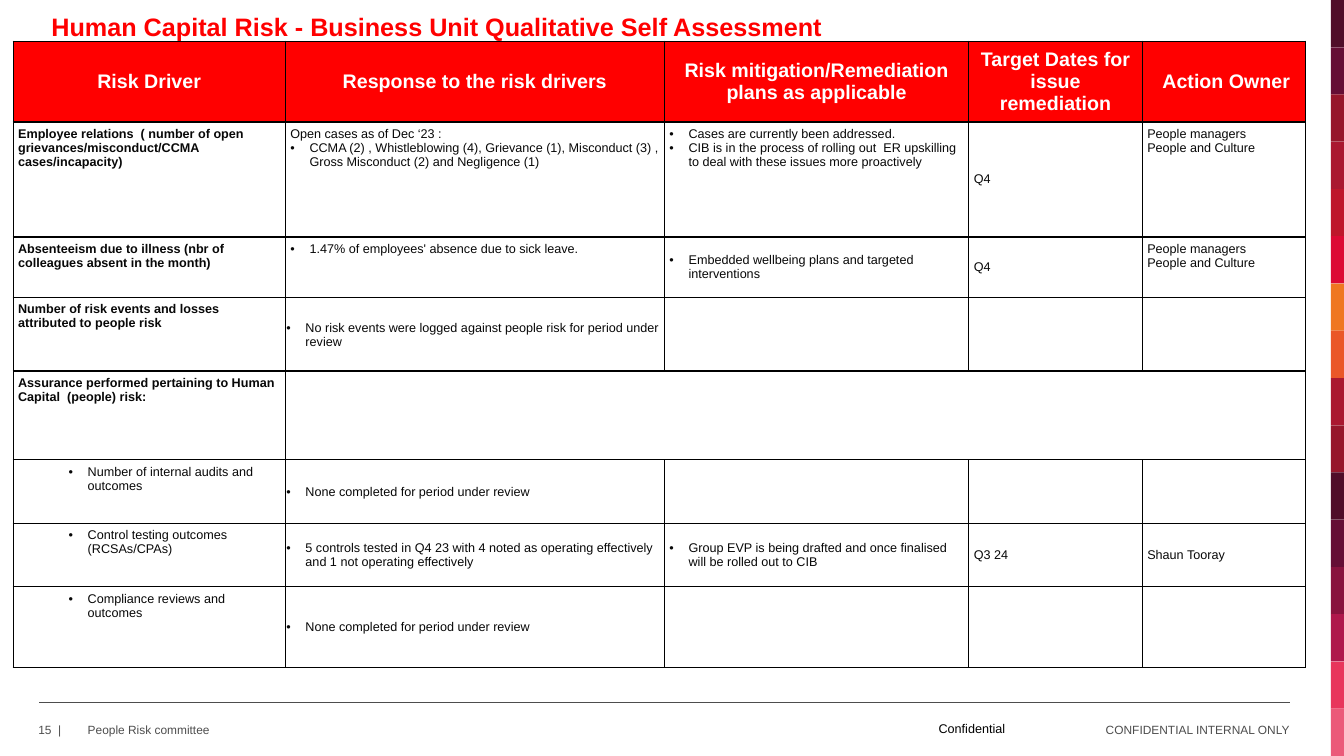
from pptx import Presentation
from pptx.dml.color import RGBColor
from pptx.enum.shapes import MSO_CONNECTOR, MSO_SHAPE
from pptx.enum.text import MSO_ANCHOR as Anchor, MSO_AUTO_SIZE as AutoSize, PP_ALIGN as Align
from pptx.oxml import parse_xml
from pptx.oxml.ns import nsdecls
from pptx.util import Inches, Pt


def color(hex_code):
    return RGBColor.from_string(hex_code)


def write(paragraph, text, size, hex_code, bold=False):
    run = paragraph.add_run()
    run.text = text
    run.font.name = "Arial"
    run.font.size = Pt(size)
    run.font.bold = bold
    run.font.color.rgb = color(hex_code)


presentation = Presentation()
presentation.slide_width = Inches(13.33)
presentation.slide_height = Inches(7.5)
slide = presentation.slides.add_slide(presentation.slide_layouts[5])

strip_colors = [
    "500D29", "650E35", "96172B", "AA1830", "BE172B", "DC0A34", "EF7721", "EA5728",
    "AA1830", "96172B", "500D29", "650E35", "88133E", "AF184C", "E8365C", "EB5A79",
]
band_height = 7.5 / len(strip_colors)
for index, band_color in enumerate(strip_colors):
    band = slide.shapes.add_shape(
        MSO_SHAPE.RECTANGLE, Inches(13.2), Inches(index * band_height),
        Inches(0.13), Inches(band_height))
    band.shadow.inherit = False
    band.fill.solid()
    band.fill.fore_color.rgb = color(band_color)
    band.line.fill.background()

footer_line = slide.shapes.add_connector(
    MSO_CONNECTOR.STRAIGHT, Inches(0.39), Inches(6.97), Inches(12.79), Inches(6.97))
footer_line.line.color.rgb = color("4D4D4D")
footer_line.line.width = Pt(1)
footer_line._element.spPr.append(parse_xml(f"<a:effectLst {nsdecls('a')}/>"))

footers = [
    ("15  |", 0.38, 0.44, 0.17, 8.5, "4D4D4D", Align.LEFT, Anchor.MIDDLE),
    ("People Risk committee", 0.87, 5.51, 0.17, 8.5, "4D4D4D", Align.LEFT, Anchor.MIDDLE),
    ("Confidential", 9.31, 1.5, 0.15, 9, "000000", Align.LEFT, Anchor.TOP),
    ("CONFIDENTIAL INTERNAL ONLY", 10.9, 1.89, 0.17, 8.5, "4D4D4D", Align.RIGHT, Anchor.MIDDLE),
]
for text, left, width, height, size, text_color, alignment, anchor in footers:
    footer = slide.shapes.add_textbox(Inches(left), Inches(7.15), Inches(width), Inches(height))
    frame = footer.text_frame
    frame.word_wrap = True
    frame.margin_left = frame.margin_right = frame.margin_top = frame.margin_bottom = 0
    frame.vertical_anchor = anchor
    frame.paragraphs[0].alignment = alignment
    write(frame.paragraphs[0], text, size, text_color)

column_widths = [2.7, 3.76, 3.02, 1.72, 1.62]
row_heights = [0.8, 1.14, 0.6, 0.73, 0.88, 0.63, 0.63, 0.8]
owners = ["People managers", "People and Culture"]
none_completed = ["• None completed for period under review"]
rows = [
    [["Risk Driver"], ["Response to the risk drivers"],
     ["Risk mitigation/Remediation plans as applicable"],
     ["Target Dates for issue remediation"], [" Action Owner"]],
    [["Employee relations  ( number of open grievances/misconduct/CCMA cases/incapacity)"],
     ["Open cases as of Dec ‘23 :",
      "• CCMA (2) , Whistleblowing (4), Grievance (1), Misconduct (3) , "
      "Gross Misconduct (2) and Negligence (1)"],
     ["• Cases are currently been addressed.",
      "• CIB is in the process of rolling out  ER upskilling to deal with these issues "
      "more proactively"],
     ["Q4"], owners],
    [["Absenteeism due to illness (nbr of colleagues absent in the month)"],
     ["• 1.47% of employees' absence due to sick leave."],
     ["• Embedded wellbeing plans and targeted interventions"], ["Q4"], owners],
    [["Number of risk events and losses attributed to people risk"],
     ["• No risk events were logged against people risk for period under review"], [], [], []],
    [["Assurance performed pertaining to Human Capital  (people) risk:"], [], [], [], []],
    [["• Number of internal audits and outcomes"], none_completed, [], [], []],
    [["• Control testing outcomes (RCSAs/CPAs)"],
     ["• 5 controls tested in Q4 23 with 4 noted as operating effectively "
      "and 1 not operating effectively"],
     ["• Group EVP is being drafted and once finalised will be rolled out to CIB"],
     ["Q3 24"], ["Shaun Tooray"]],
    [["• Compliance reviews and outcomes"], none_completed, [], [], []],
]
top_cells = {(1, 1), (1, 2), (1, 4), (2, 1), (2, 4)}

table = slide.shapes.add_table(
    len(row_heights), len(column_widths), Inches(0.13), Inches(0.41),
    Inches(sum(column_widths)), Inches(sum(row_heights))).table
for column, width in zip(table.columns, column_widths):
    column.width = Inches(width)
for row, height in zip(table.rows, row_heights):
    row.height = Inches(height)
table.cell(4, 1).merge(table.cell(4, 4))

for row_index, row_texts in enumerate(rows):
    for column_index, lines in enumerate(row_texts):
        cell = table.cell(row_index, column_index)
        is_header = row_index == 0
        is_driver = column_index == 0
        is_tight = column_index == 1 and row_index >= 3

        properties = cell._tc.get_or_add_tcPr()
        for side in ("lnL", "lnR", "lnT", "lnB"):
            properties.append(parse_xml(
                f'<a:{side} {nsdecls("a")} w="12700"><a:solidFill>'
                f'<a:srgbClr val="000000"/></a:solidFill></a:{side}>'))
        if is_header:
            cell.fill.solid()
            cell.fill.fore_color.rgb = color("FF0000")
        else:
            cell.fill.background()

        margin = Inches(0.01 if is_tight else 0.05)
        cell.margin_left = cell.margin_right = cell.margin_top = margin
        cell.margin_bottom = 0 if is_tight else margin
        at_top = (is_driver and not is_header) or (row_index, column_index) in top_cells
        cell.vertical_anchor = Anchor.TOP if at_top else Anchor.MIDDLE

        for line_index, line in enumerate(lines):
            frame = cell.text_frame
            paragraph = frame.add_paragraph() if line_index else frame.paragraphs[0]
            has_bullet = line.startswith("• ")
            if has_bullet:
                paragraph.level = 1 if is_driver else 0
                bullet = paragraph._p.get_or_add_pPr()
                bullet.set("marL", str(Inches(0.69 if is_driver else 0.19)))
                bullet.set("indent", str(Inches(-0.19)))
                bullet.append(parse_xml(f'<a:buFont {nsdecls("a")} typeface="Arial"/>'))
                bullet.append(parse_xml(f'<a:buChar {nsdecls("a")} char="•"/>'))
            if is_header:
                paragraph.alignment = Align.CENTER
                write(paragraph, line, 14, "FFFFFF", True)
            else:
                write(paragraph, line.removeprefix("• "), 9, "080808", is_driver and not has_bullet)

title = slide.shapes.title
title.left, title.top = Inches(0.51), Inches(0.11)
title.width, title.height = Inches(12.44), Inches(0.3)
frame = title.text_frame
frame.margin_left = frame.margin_right = frame.margin_top = frame.margin_bottom = 0
frame.word_wrap = True
frame.auto_size = AutoSize.NONE
frame.vertical_anchor = Anchor.MIDDLE
frame.paragraphs[0].alignment = Align.LEFT
write(frame.paragraphs[0], "Human Capital Risk - Business Unit Qualitative Self Assessment",
      18, "FF0000", True)

presentation.save("out.pptx")
